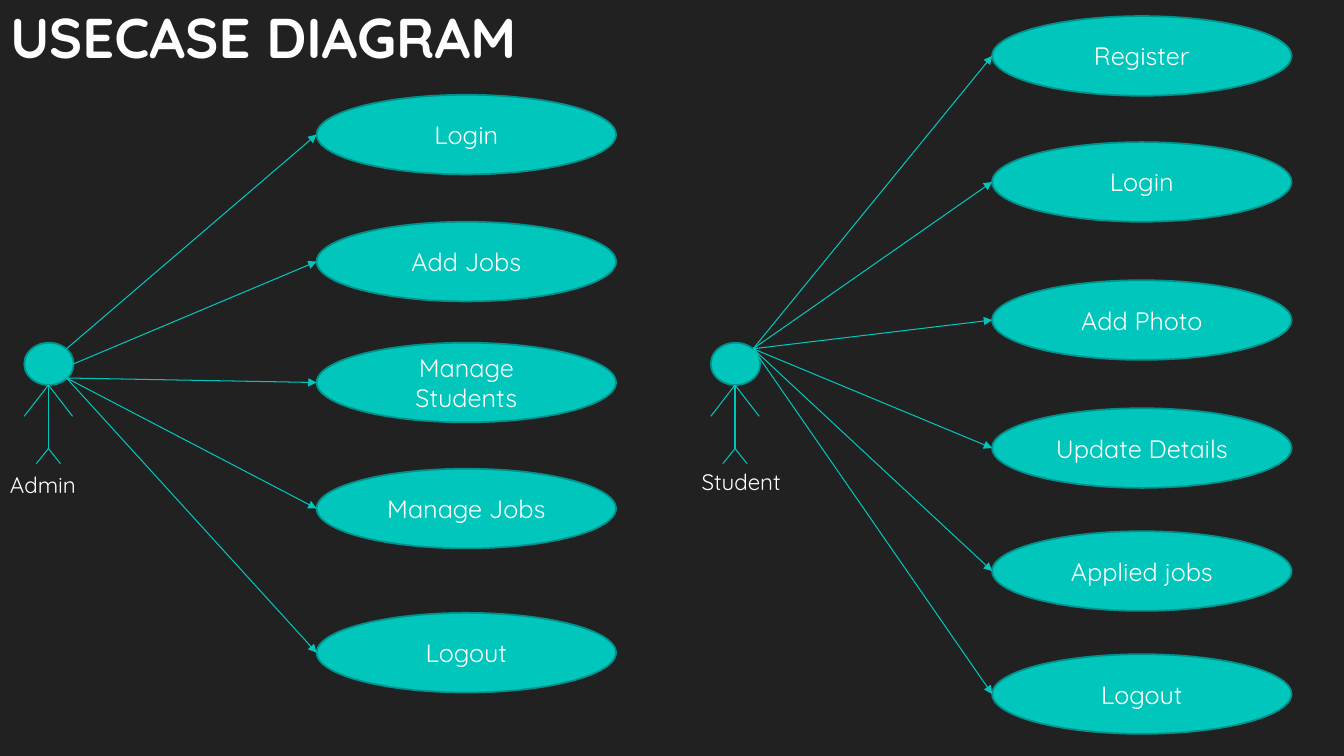
from dataclasses import dataclass

from lxml import etree
from pptx import Presentation, util as u
from pptx.dml.color import RGBColor
from pptx.enum import shapes, text
from pptx.oxml.ns import qn

PX = u.Inches(1) // 100
CASE_WIDTH, CASE_HEIGHT = 297, 79
HEAD_WIDTH, HEAD_HEIGHT = 49, 42
HEAD_TOP = 340


@dataclass(frozen=True)
class Theme:
    """Colours, font and type sizes of the slide."""
    background: RGBColor = RGBColor(0x21, 0x21, 0x21)
    teal: RGBColor = RGBColor(0x00, 0xC6, 0xBB)
    outline: RGBColor = RGBColor(0x00, 0x92, 0x8A)
    white: RGBColor = RGBColor(0xFF, 0xFF, 0xFF)
    title_white: RGBColor = RGBColor(0xFE, 0xFE, 0xFE)
    font: str = "Quicksand"
    title_size: int = 40
    case_size: int = 18
    actor_size: int = 16
    outline_width: float = 1.25
    line_width: float = 0.75


THEME = Theme()


def px(*lengths):
    """Turn pixel lengths into EMU."""
    return [u.Emu(length * PX) for length in lengths]


def write(frame, words, size, align, color=THEME.white, bold=False):
    """Put one formatted run into a text frame."""
    frame.word_wrap = True
    paragraph = frame.paragraphs[0]
    paragraph.alignment = align
    run = paragraph.add_run()
    run.text = words
    run.font.name = THEME.font
    run.font.size = u.Pt(size)
    run.font.bold = bold
    run.font.color.rgb = color


def add_title(slide, words):
    """Place and fill the title placeholder."""
    title = slide.shapes.title
    title.left, title.top, title.width, title.height = px(0, -7, 611, 85)
    frame = title.text_frame
    frame.auto_size = text.MSO_AUTO_SIZE.NONE
    frame.vertical_anchor = text.MSO_ANCHOR.MIDDLE
    write(frame, words, THEME.title_size, text.PP_ALIGN.LEFT, THEME.title_white, True)


def add_ellipse(slide, left, top, width, height):
    """Draw a teal ellipse with a darker outline."""
    ellipse = slide.shapes.add_shape(shapes.MSO_SHAPE.OVAL, *px(left, top, width, height))
    ellipse.shadow.inherit = False
    ellipse.fill.solid()
    ellipse.fill.fore_color.rgb = THEME.teal
    ellipse.line.color.rgb = THEME.outline
    ellipse.line.width = u.Pt(THEME.outline_width)
    return ellipse


def add_line(slide, start, end):
    """Draw a thin straight teal line."""
    line = slide.shapes.add_connector(shapes.MSO_CONNECTOR.STRAIGHT, *px(*start, *end))
    line.line.color.rgb = THEME.teal
    line.line.width = u.Pt(THEME.line_width)
    etree.SubElement(line._element.spPr, qn("a:effectLst"))
    return line


def add_arrow(slide, start, use_case):
    """Point an arrow at the left connection site of a use case ellipse."""
    arrow = add_line(slide, start, start)
    arrow.end_connect(use_case, 2)
    arrow.end_x = use_case.left
    arrow.end_y = use_case.top + use_case.height // 2
    etree.SubElement(arrow.line._get_or_add_ln(), qn("a:tailEnd"), type="triangle")


def add_actor(slide, left, name, label_left, label_top):
    """Draw a stick figure with its name below."""
    add_ellipse(slide, left, HEAD_TOP, HEAD_WIDTH, HEAD_HEIGHT)
    middle = left + HEAD_WIDTH // 2
    neck = (middle, HEAD_TOP + HEAD_HEIGHT)
    hip = (middle, neck[1] + 63)
    add_line(slide, neck, hip)
    for side in (-1, 1):
        add_line(slide, neck, (middle + side * 24, neck[1] + 31))
        add_line(slide, hip, (middle + side * 12, hip[1] + 15))
    label = slide.shapes.add_textbox(*px(label_left, label_top, 107, 37))
    write(label.text_frame, name, THEME.actor_size, text.PP_ALIGN.LEFT)
    label.text_frame.auto_size = text.MSO_AUTO_SIZE.SHAPE_TO_FIT_TEXT


def add_use_cases(slide, left, use_cases):
    """Draw a column of use cases, each with an arrow from its actor."""
    for words, top, start in use_cases:
        use_case = add_ellipse(slide, left, top, CASE_WIDTH, CASE_HEIGHT)
        write(use_case.text_frame, words, THEME.case_size, text.PP_ALIGN.CENTER)
        add_arrow(slide, start, use_case)


def main():
    """Build the use case slide and save it."""
    deck = Presentation()
    deck.slide_width, deck.slide_height = px(1333, 750)
    slide = deck.slides.add_slide(deck.slide_layouts[5])
    slide.background.fill.solid()
    slide.background.fill.fore_color.rgb = THEME.background
    add_title(slide, "USECASE DIAGRAM")

    admin_low = (66, 375)
    add_actor(slide, 24, "Admin", 0, 462)
    add_use_cases(slide, 314, [
        ("Login", 94, (66, 346)),
        ("Add Jobs", 220, (73, 361)),
        ("Manage Students", 340, admin_low),
        ("Manage Jobs", 465, admin_low),
        ("Logout", 608, admin_low),
    ])

    student_high = (747, 346)
    student_tops = {
        "Register": 16, "Login": 141, "Add Photo": 278,
        "Update Details": 405, "Applied jobs": 527, "Logout": 649,
    }
    add_actor(slide, 705, "Student", 686, 460)
    add_use_cases(slide, 984, [
        (words, top, student_high) for words, top in student_tops.items()
    ])

    deck.save("out.pptx")


if __name__ == "__main__":
    main()
